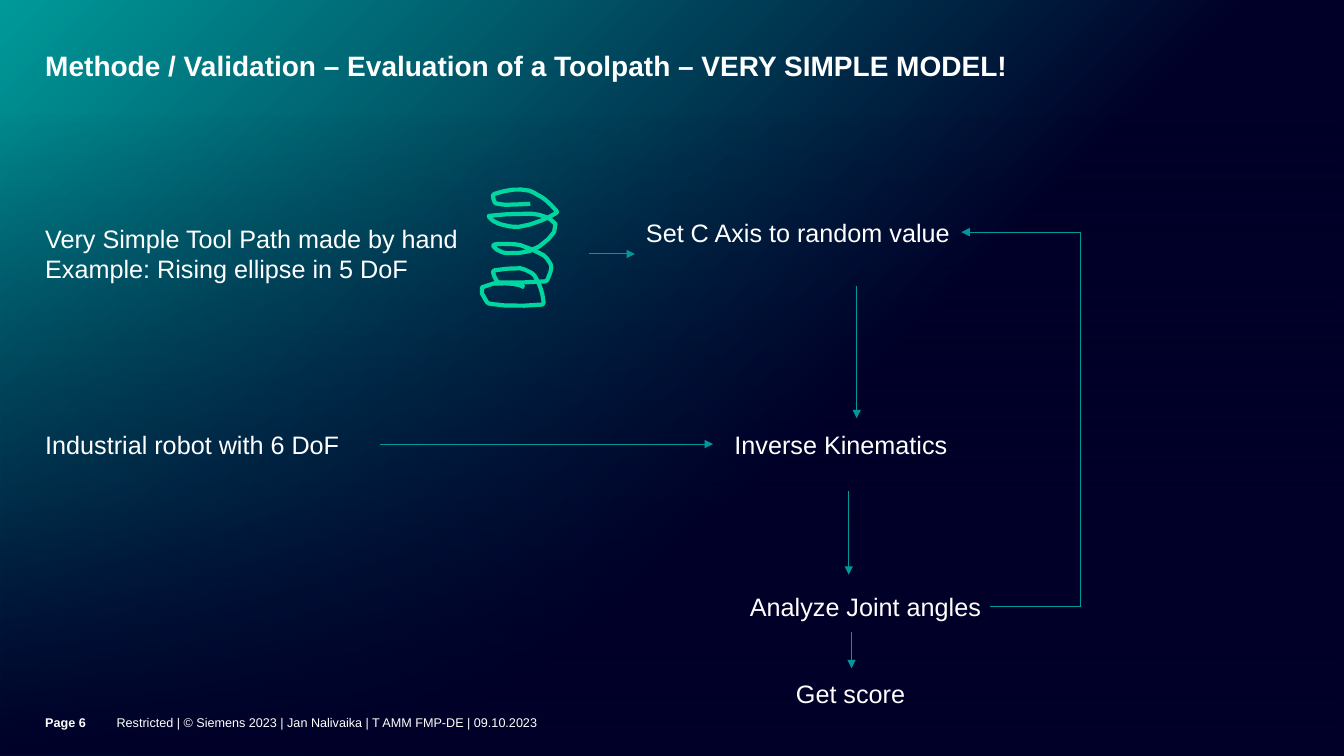
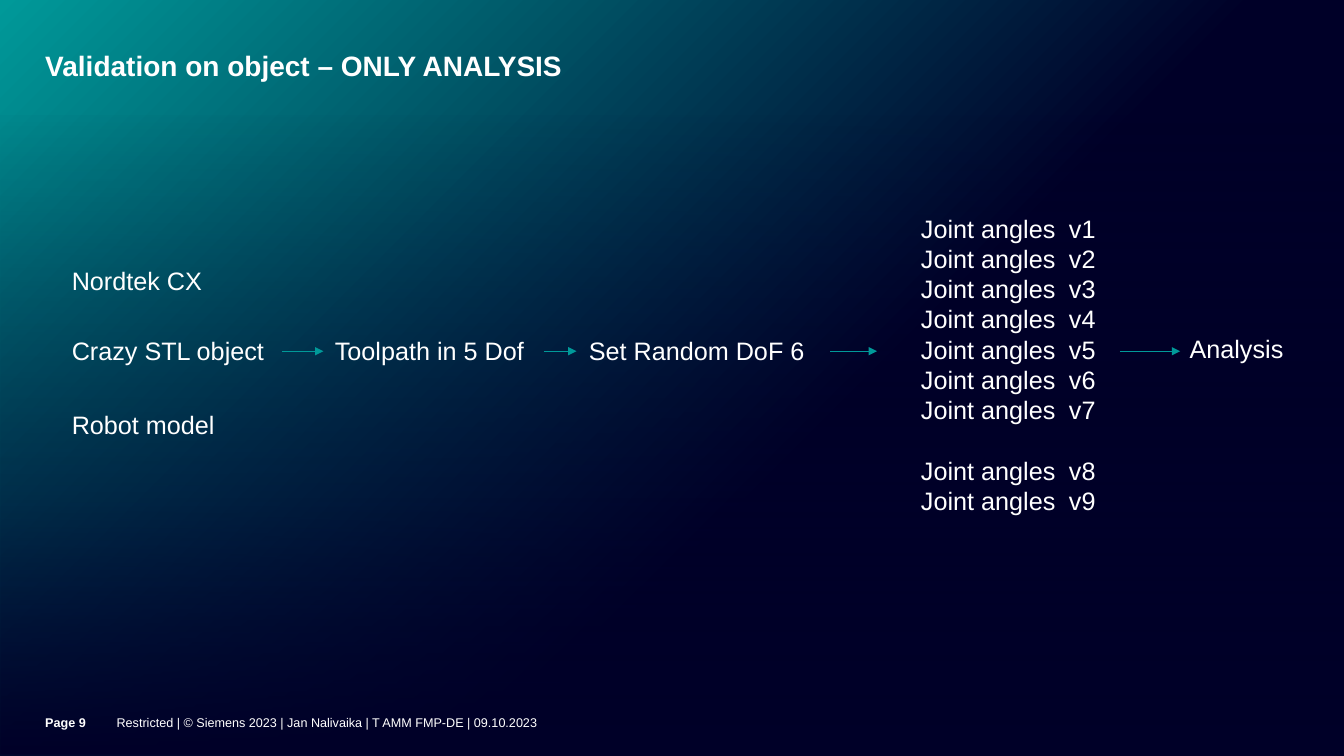
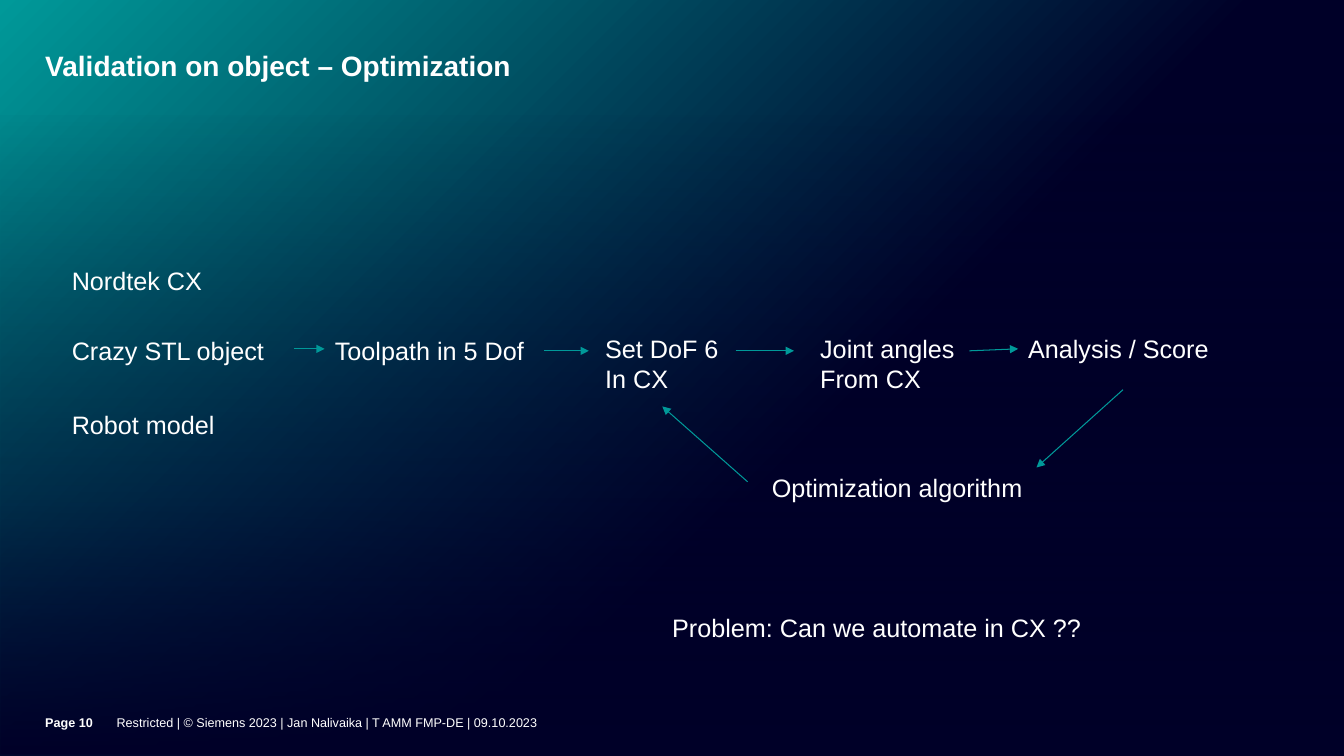
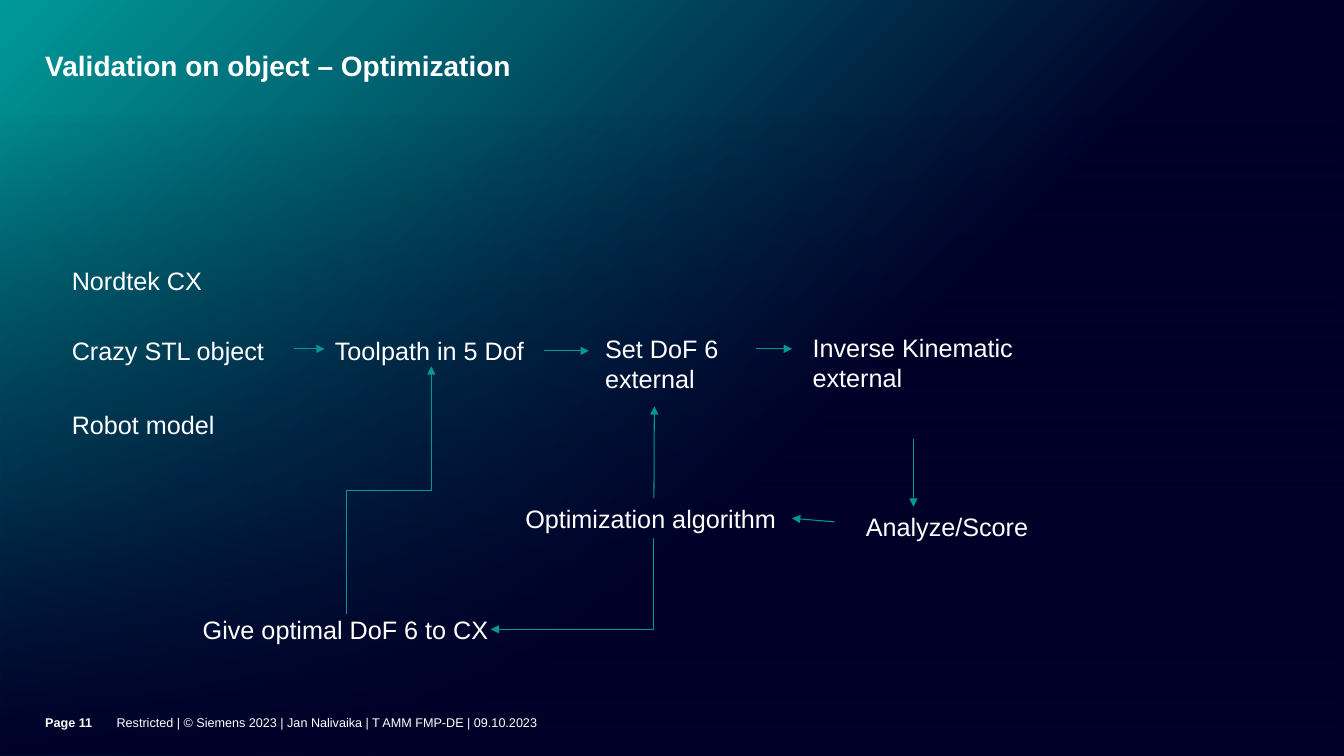
import math
from lxml import etree
from pptx import Presentation
from pptx.dml.color import RGBColor
from pptx.enum import shapes, text
from pptx.oxml import parse_xml
from pptx.oxml.ns import nsdecls, qn
from pptx.util import Cm, Pt

COLORS = {"night": "000028", "petrol": "009999", "white": "FFFFFF", "mint": "00D7A0"}
FONT = "Arial"
FOOTER = "Restricted | © Siemens 2023 | Jan Nalivaika | T AMM FMP-DE | 09.10.2023"
SLIDE_W, SLIDE_H = 33.87, 19.05
MARGIN = 1.14
LINE_H = 0.77

# Turns of the hand-drawn ellipse, on a grid 76 wide and 116 high
ELLIPSE = [
    (43, 97), (39, 95), (25, 93), (1, 97), (5, 110), (8, 113), (16, 114), (25, 115),
    (61, 114), (62, 110), (59, 97), (53, 85), (49, 82), (39, 78), (14, 80), (12, 82),
    (16, 91), (18, 92), (64, 91), (67, 87), (70, 77), (68, 72), (62, 65), (39, 55),
    (27, 54), (16, 54), (12, 56), (21, 62), (27, 63), (48, 61), (67, 49), (74, 34),
    (58, 25), (43, 24), (8, 26), (10, 29), (14, 32), (22, 35), (37, 37), (59, 31),
    (75, 23), (75, 21), (64, 10), (56, 5), (48, 1), (32, 0), (14, 4), (12, 6),
    (14, 13), (17, 14), (25, 15), (49, 14)]


# ---- helpers ----

def rgb(name):
    return RGBColor.from_string(COLORS[name])


def gradient(stops, shade):
    """Gradient fill; each stop is position, colour, opacity (percent)."""
    gs = ""
    for pos, color, opacity in stops:
        alpha = f'<a:alpha val="{opacity * 1000}"/>' if opacity < 100 else ""
        gs += (f'<a:gs pos="{pos * 1000}"><a:srgbClr val="{COLORS[color]}">'
               f'{alpha}</a:srgbClr></a:gs>')
    return parse_xml(f'<a:gradFill {nsdecls("a")} rotWithShape="1">'
                     f'<a:gsLst>{gs}</a:gsLst>{shade}</a:gradFill>')


def write(sp, lines, size=18, bold=False, anchor=text.MSO_ANCHOR.TOP,
          right=0, bottom=0, spacing=None, tab=None, gaps=()):
    """Fill a text frame; gaps lists the lines set off by one line's space."""
    tf = sp.text_frame
    tf.word_wrap = True
    tf.auto_size = text.MSO_AUTO_SIZE.NONE
    tf.vertical_anchor = anchor
    tf.margin_left = tf.margin_top = 0
    tf.margin_right, tf.margin_bottom = Cm(right), Cm(bottom)
    for i, line in enumerate(lines):
        p = tf.paragraphs[0] if i == 0 else tf.add_paragraph()
        p.alignment = text.PP_ALIGN.LEFT
        if spacing:
            p.line_spacing = spacing
        if i in gaps:
            p.space_before = Cm(LINE_H)
        if tab:
            tabs = etree.SubElement(p._p.get_or_add_pPr(), qn("a:tabLst"))
            etree.SubElement(tabs, qn("a:tab"), pos=str(Cm(tab)), algn="l")
        r = p.add_run()
        r.text = line
        r.font.name, r.font.size, r.font.bold = FONT, Pt(size), bold
        r.font.color.rgb = rgb("white")


def label(s, x, y, w, *lines, h=None, **fmt):
    h = h or LINE_H * len(lines)
    write(s.shapes.add_textbox(Cm(x), Cm(y), Cm(w), Cm(h)), lines, **fmt)


def connect(s, x1, y1, x2, y2, kind=shapes.MSO_CONNECTOR.STRAIGHT, end="tailEnd"):
    c = s.shapes.add_connector(kind, Cm(x1), Cm(y1), Cm(x2), Cm(y2))
    c.line.color.rgb = rgb("petrol")
    c.line.width = Pt(0.75)
    if end:
        etree.SubElement(c.line._get_or_add_ln(), qn(f"a:{end}"), type="triangle")
    etree.SubElement(c._element.spPr, qn("a:effectLst"))
    return c


def corner(s, x1, y1, x2, y2):
    """One bend: across from the arrowhead at x1, y1, then up or down."""
    c = connect(s, x1, y1, x2, y2, shapes.MSO_CONNECTOR.ELBOW, "headEnd")
    c._element.spPr.find(qn("a:prstGeom")).set("prst", "bentConnector2")


def riser(s, x1, y1, x2, y2):
    """Two bends: up, right, up; an elbow turned by 270 degrees."""
    cx, cy = (x1 + x2) / 2, (y1 + y2) / 2
    dx, dy = (x2 - x1) / 2, (y1 - y2) / 2
    c = connect(s, cx - dy, cy - dx, cx + dy, cy + dx, shapes.MSO_CONNECTOR.ELBOW)
    c._element.spPr.find(qn("a:xfrm")).set("rot", str(270 * 60000))


def place(s, x, y, labels, arrows):
    """Labels (x, y, w, lines...) and arrows (x1, y1, x2, y2) relative to x, y."""
    for dx, dy, w, *lines in labels:
        label(s, x + dx, y + dy, w, *lines)
    for x1, y1, x2, y2 in arrows:
        connect(s, x + x1, y + y1, x + x2, y + y2)


# ---- shared design ----

def set_layout(prs):
    """Keep only the title-only layout, with nothing but its title."""
    layout = prs.slide_layouts[5]
    for other in list(prs.slide_layouts):
        if other is not layout and other.name != layout.name:
            prs.slide_layouts.remove(other)
    for holder in (layout, prs.slide_master):
        for sp in list(holder.placeholders):
            if sp.placeholder_format.type in (shapes.PP_PLACEHOLDER.DATE,
                                              shapes.PP_PLACEHOLDER.FOOTER,
                                              shapes.PP_PLACEHOLDER.SLIDE_NUMBER):
                sp._element.getparent().remove(sp._element)


def set_background(prs):
    master = prs.slide_master
    master.background.fill.solid()
    bg = master._element.cSld.bg.bgPr
    shade = ('<a:path path="circle">'
             '<a:fillToRect l="100000" t="100000" r="0" b="0"/></a:path>')
    bg.replace(bg[0], gradient([(40, "night", 100), (100, "petrol", 100)], shade))


def add_veil(s):
    """Dark fade over the lower part, kept on the slide's layout."""
    top = 2.92
    sp = s.shapes.add_shape(shapes.MSO_SHAPE.RECTANGLE, 0, Cm(top),
                            Cm(SLIDE_W), Cm(SLIDE_H - top))
    sp.shadow.inherit = False
    sp.line.fill.background()
    sp.fill.solid()
    spPr = sp._element.spPr
    fade = gradient([(0, "night", 100), (40, "night", 50), (100, "night", 1)],
                    '<a:lin ang="16200000" scaled="0"/>')
    spPr.replace(spPr.find(qn("a:solidFill")), fade)
    sp._element.nvSpPr.cNvPr.set("id", "99")
    s.slide_layout.shapes._spTree.insert(2, sp._element)


def new_slide(prs, title, page):
    s = prs.slides.add_slide(prs.slide_layouts[0])
    sp = s.shapes.title
    sp.left, sp.top, sp.width, sp.height = Cm(MARGIN), Cm(1.32), Cm(27.41), Cm(1.6)
    write(sp, [title], size=20, bold=True, right=0.89, bottom=0.05, spacing=0.9)
    foot = dict(h=1.52, size=9, anchor=text.MSO_ANCHOR.MIDDLE, bottom=0.18)
    label(s, 2.94, 17.53, 25.6, FOOTER, **foot)
    label(s, MARGIN, 17.53, 1.8, f"Page {page}", bold=True, **foot)
    return s


# ---- regions ----

def ellipse_sketch(s, x, y, w):
    """Outline through the turns, each span rounded by one point between."""
    def heading(i):
        a, b = ELLIPSE[max(i - 1, 0)], ELLIPSE[min(i + 1, len(ELLIPSE) - 1)]
        d = math.dist(a, b)
        return (b[0] - a[0]) / d, (b[1] - a[1]) / d

    fine = 10
    pts = []
    for i, (a, b) in enumerate(zip(ELLIPSE, ELLIPSE[1:])):
        size, ha, hb = math.dist(a, b), heading(i), heading(i + 1)
        middle = [(a[k] + b[k]) / 2 + size * (ha[k] - hb[k]) / 8 for k in (0, 1)]
        pts += [a, middle]
    pts = [(px * fine, py * fine) for px, py in pts + ELLIPSE[-1:]]
    fb = s.shapes.build_freeform(*pts[0], scale=Cm(w) / (76 * fine))
    fb.add_line_segments(pts[1:], close=False)
    sp = fb.convert_to_shape(Cm(x), Cm(y))
    sp.shadow.inherit = False
    sp.fill.background()
    sp.line.color.rgb = rgb("mint")
    sp.line.width = Pt(3)


def simple_inputs(s, x, y):
    place(s, x, y,
          [(0, 0.84, 12.3, "Very Simple Tool Path made by hand",
            "Example: Rising ellipse in 5 DoF"),
           (0, 6.04, 12.3, "Industrial robot with 6 DoF")],
          [(13.7, 1.62, 14.86, 1.62), (8.44, 6.41, 16.83, 6.41)])
    ellipse_sketch(s, x + 10.98, y, 1.93)


def evaluation_loop(s, x, y):
    place(s, x, y,
          [(0, 0, 7.95, "Set C Axis to random value"),
           (2.23, 5.34, 5.7, "Inverse Kinematics"),
           (2.62, 9.42, 6.3, "Analyze Joint angles"),
           (3.78, 11.61, 3, "Get score")],
          [(5.31, 1.73, 5.31, 5.06), (5.11, 6.89, 5.11, 9),
           (5.18, 10.45, 5.18, 11.36)])
    # Way back from the analysis to the random value
    corner(s, x + 7.95, y + 0.37, x + 10.95, y + 9.8)
    connect(s, x + 10.95, y + 9.8, x + 8.66, y + 9.8, end=None)


def object_inputs(s, x, y):
    place(s, x, y,
          [(0, 0, 5.2, "Nordtek CX"), (0, 1.78, 5.2, "Crazy STL object"),
           (0, 3.63, 5.2, "Robot model"), (6.63, 1.78, 5.2, "Toolpath in 5 Dof")], [])


def analysis_chain(s, x, y):
    spans = [(0, 1.04), (6.61, 7.42), (13.81, 14.99), (21.11, 22.63)]
    place(s, x, y,
          [(7.73, 3.08, 5.8, "Set Random DoF 6"), (22.87, 3.02, 2.7, "Analysis")],
          [(x1, 3.47, x2, 3.47) for x1, x2 in spans])
    label(s, x + 16.1, y - 0.01, 4.8, *[f"Joint angles\tv{n}" for n in range(1, 10)],
          h=7.7, tab=3.73, gaps=[7])


def dof_step(s, x, y, where):
    place(s, x, y, [(7.83, -0.01, 3.2, "Set DoF 6", where)],
          [(0, 0.38, 0.76, 0.38), (6.3, 0.43, 7.42, 0.43)])


def internal_loop(s, x, y):
    place(s, x, y,
          [(5.43, -0.01, 4.1, "Joint angles", "From CX"),
           (10.67, 0, 5.4, "Analysis / Score"),
           (4.21, 3.5, 7, "Optimization algorithm"),
           (1.7, 7.03, 10.8, "Problem: Can we automate in CX ??")],
          [(3.3, 0.43, 4.77, 0.43), (9.19, 0.43, 10.42, 0.38),
           (13.06, 1.41, 10.88, 3.37), (3.6, 3.73, 1.45, 1.83)])


def external_loop(s, x, y):
    place(s, x, y,
          [(15.37, 0, 5.4, "Inverse Kinematic", "external"),
           (8.13, 4.31, 6.7, "Optimization algorithm"),
           (16.71, 4.5, 4.5, "Analyze/Score"),
           (0, 7.09, 7.5, "Give optimal DoF 6 to CX")],
          [(13.94, 0.41, 14.85, 0.41), (17.91, 2.69, 17.91, 4.39),
           (15.92, 4.77, 14.85, 4.68), (11.37, 4.17, 11.38, 1.86)])
    corner(s, x + 7.26, y + 7.48, x + 11.37, y + 5.19)
    riser(s, x + 3.63, y + 7.09, x + 5.76, y + 0.85)


def main():
    prs = Presentation()
    prs.slide_width, prs.slide_height = Cm(SLIDE_W), Cm(SLIDE_H)
    set_layout(prs)
    set_background(prs)

    s = new_slide(
        prs, "Methode / Validation – Evaluation of a Toolpath – VERY SIMPLE MODEL!", 6)
    add_veil(s)
    simple_inputs(s, MARGIN, 4.78)
    evaluation_loop(s, 16.28, 5.48)

    s = new_slide(prs, "Validation on object – ONLY ANALYSIS", 9)
    object_inputs(s, 1.81, 6.68)
    analysis_chain(s, 7.11, 5.38)

    loops = [(10, "In CX", internal_loop, 15.24, 8.41),
             (11, "external", external_loop, 5.11, 8.38)]
    for page, where, loop, x, y in loops:
        s = new_slide(prs, "Validation on object – Optimization", page)
        object_inputs(s, 1.81, 6.68)
        dof_step(s, 7.42, 8.41, where)
        loop(s, x, y)

    prs.save("out.pptx")


if __name__ == "__main__":
    main()
